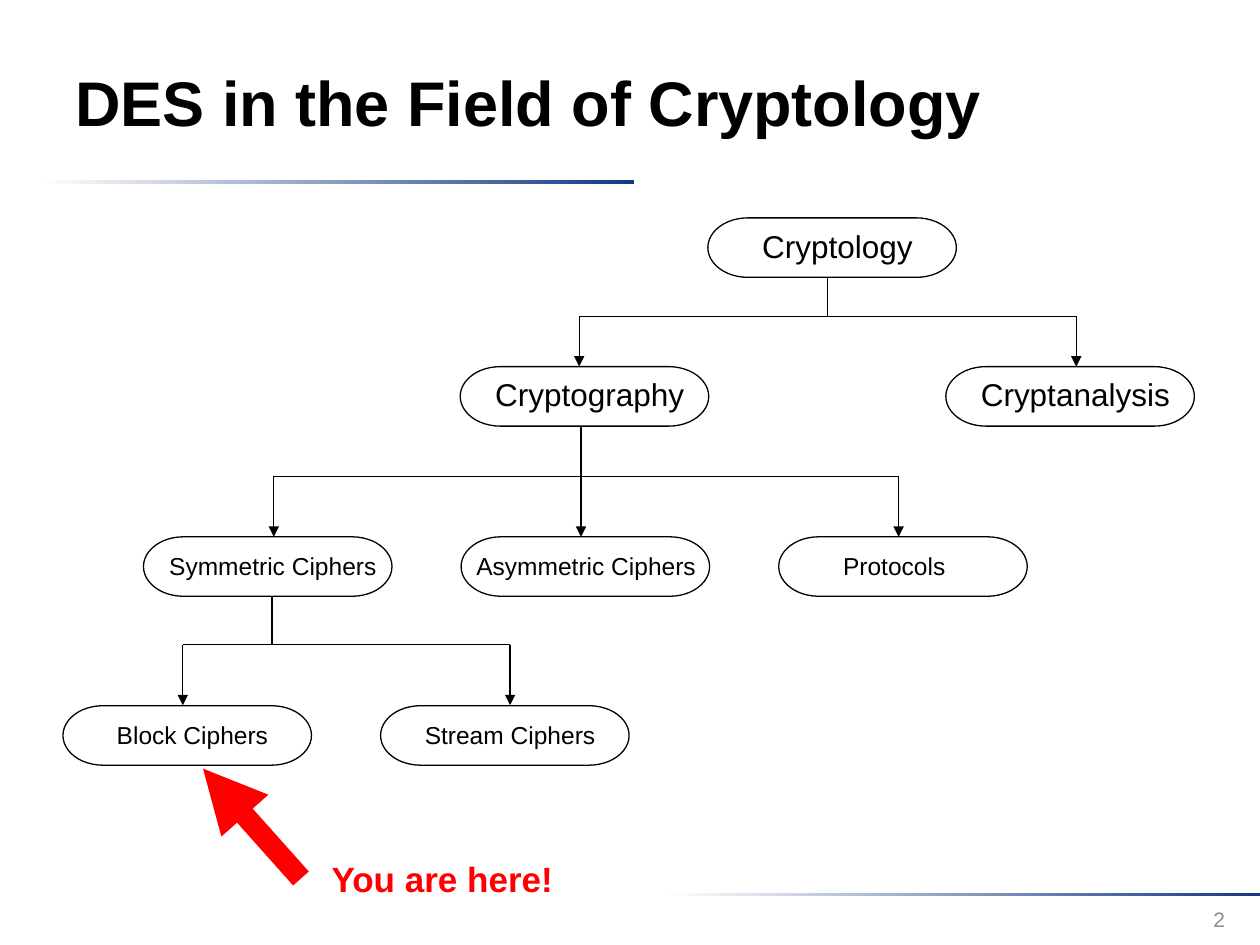
import pptx
import pptx.util
import pptx.dml.color
import pptx.enum.shapes
import pptx.enum.text
import pptx.oxml.ns
import lxml.etree

Pt = pptx.util.Pt
SHAPE = pptx.enum.shapes.MSO_SHAPE
ALIGN = pptx.enum.text.PP_ALIGN
ANCHOR = pptx.enum.text.MSO_ANCHOR
qn = pptx.oxml.ns.qn

COLORS = {"white": "FFFFFF", "black": "000000", "navy": "133984",
          "red": "FF0000", "gray": "8C8C8C"}
NODE_W, NODE_H = 142, 34
LABEL_W = 136
STEP = 181.5

# label, left, top, text size, label shift
NODES = [
    ("Cryptology", 368.5, 0, 18, 6),
    ("Cryptography", 227, 85, 18, 6),
    ("Cryptanalysis", 504.5, 85, 18, 6),
    ("Symmetric Ciphers", 46, 182.25, 14, 6),
    ("Asymmetric Ciphers", 46 + STEP, 182.25, 14, 3.5),
    ("Protocols ", 46 + 2 * STEP, 182.25, 14, 0),
    ("Block Ciphers", 0, 278.75, 14, 6),
    ("Stream Ciphers", STEP, 278.75, 14, 6),
]
# stem x, top, bar y, arrow end, arrow xs
FORKS = [
    (437, 34, 56.25, 85, [295, 579]),
    (296, 119.5, 147.75, 182.25, [120.5, 296, 477.5]),
    (119.5, 216, 244, 278.5, [68.5, 255.5]),
]


def color(name):
    return pptx.dml.color.RGBColor.from_string(COLORS[name])


def add_text(slide, box, text, size, tint="black", bold=False,
             align=ALIGN.LEFT, anchor=ANCHOR.TOP, inset=True, wrap=True):
    frame = slide.shapes.add_textbox(*map(Pt, box)).text_frame
    frame.word_wrap = wrap
    frame.vertical_anchor = anchor
    if not inset:
        frame.margin_left = frame.margin_right = 0
        frame.margin_top = frame.margin_bottom = 0
    para = frame.paragraphs[0]
    para.text = text
    para.alignment = align
    font = para.runs[0].font
    font.name, font.size, font.bold = "Arial", Pt(size), bold
    font.color.rgb = color(tint)


def add_line(slide, start, end, tint="black", width=0.75, arrow=False):
    line = slide.shapes.add_connector(
        pptx.enum.shapes.MSO_CONNECTOR.STRAIGHT, *map(Pt, start + end))
    line.line.width = Pt(width)
    line.line.color.rgb = color(tint)
    if arrow:
        tail = lxml.etree.SubElement(line.line._get_or_add_ln(), qn("a:tailEnd"))
        tail.set("type", "triangle")
    props = line._element.spPr
    lxml.etree.SubElement(props, qn("a:effectLst"))


def add_rule(slide, box):
    """Draw a thin bar that fades from white to navy."""
    bar = slide.shapes.add_shape(SHAPE.RECTANGLE, *map(Pt, box))
    bar.shadow.inherit = False
    bar.line.fill.background()
    bar.fill.gradient()
    bar.fill.gradient_angle = 0
    for stop, tint, place in zip(bar.fill.gradient_stops, ("white", "navy"), (0, 1)):
        stop.color.rgb = color(tint)
        stop.position = place


def add_node(slide, left, top, label, size, shift):
    node = slide.shapes.add_shape(SHAPE.FLOWCHART_TERMINATOR,
                                  *map(Pt, (left, top, NODE_W, NODE_H)))
    node.shadow.inherit = False
    node.fill.background()
    node.line.color.rgb = color("black")
    node.line.width = Pt(0.75)
    drop = 5 if size == 18 else 8.25
    add_text(slide, (left + shift, top + drop, LABEL_W, size * 1.2), label, size,
             align=ALIGN.CENTER, inset=False)


def add_fork(slide, left, top, stem, start, bar, end, drops):
    """Draw a stem, a crossbar and an arrow down to each child."""
    def at(x, y):
        return left + x, top + y
    add_line(slide, at(stem, start), at(stem, bar))
    add_line(slide, at(drops[0], bar), at(drops[-1], bar))
    for x in drops:
        add_line(slide, at(x, bar), at(x, end), arrow=True)


def add_tree(slide, left, top):
    for label, x, y, size, shift in NODES:
        add_node(slide, left + x, top + y, label, size, shift)
    for fork in FORKS:
        add_fork(slide, left, top, *fork)


def add_head(slide, left, top):
    add_rule(slide, (left - 13.75, top + 90, 340, 2.25))
    add_text(slide, (left, top, 556.5, 90), "DES in the Field of Cryptology", 36,
             bold=True, anchor=ANCHOR.MIDDLE)


def add_foot(slide, left, top):
    add_rule(slide, (left, top, 340, 2))
    add_text(slide, (left + 159, top + 0.75, 168, 28.75), "2", 12, "gray",
             align=ALIGN.RIGHT, anchor=ANCHOR.MIDDLE)


def add_mark(slide, left, top):
    add_line(slide, (left + 56, top + 62.75), (left, top), "red", 12, arrow=True)
    add_text(slide, (left + 73.5, top + 51, 127.5, 24), "You are here!", 20, "red",
             bold=True, inset=False, wrap=False)


def main():
    deck = pptx.Presentation()
    deck.slide_width, deck.slide_height = Pt(720), Pt(540)
    slide = deck.slides.add_slide(deck.slide_layouts[6])
    add_head(slide, 36, 13)
    add_tree(slide, 36, 124.5)
    add_mark(slide, 116, 439.25)
    add_foot(slide, 380, 510)
    deck.save("out.pptx")


if __name__ == "__main__":
    main()
